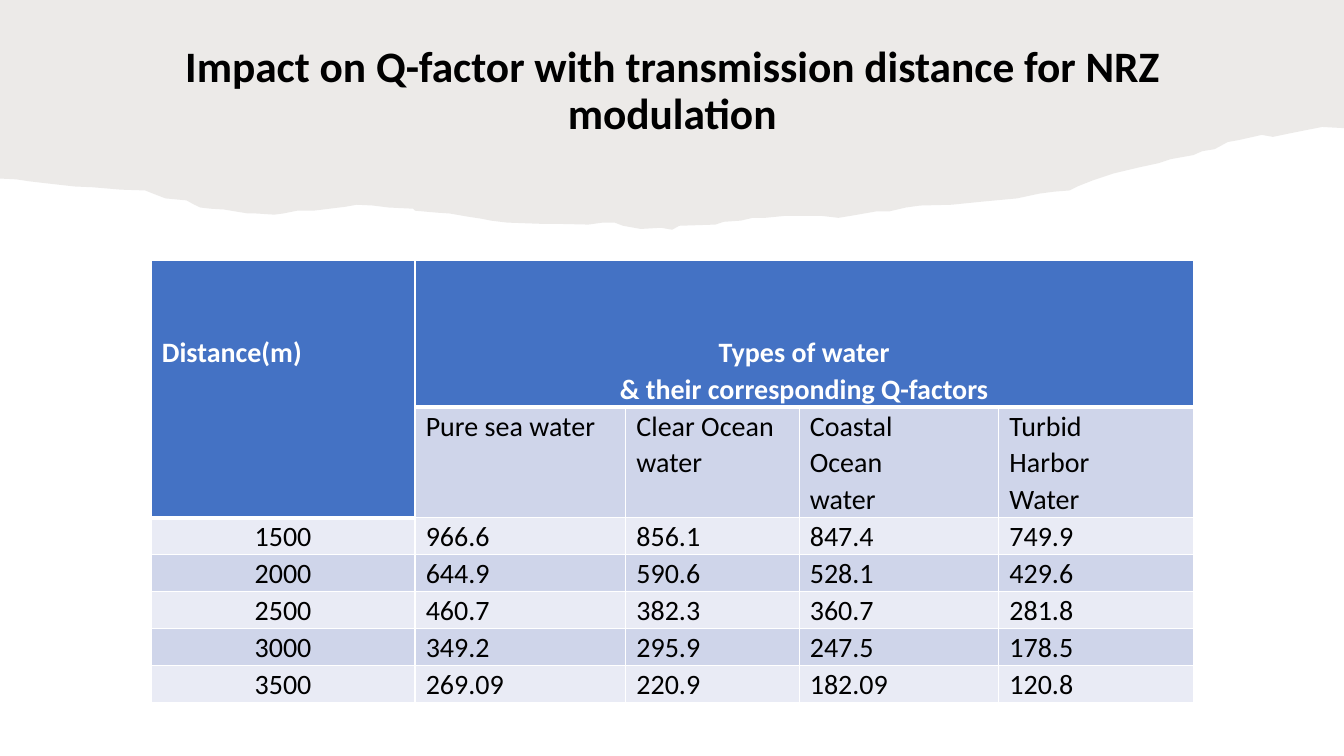
import lxml.etree
import pptx
import pptx.dml.color
import pptx.enum.text
import pptx.oxml
import pptx.oxml.ns
import pptx.util
from dataclasses import dataclass

Cm = pptx.util.Cm
Pt = pptx.util.Pt
ALIGN = pptx.enum.text.PP_ALIGN
ANCHOR = pptx.enum.text.MSO_ANCHOR


@dataclass
class Theme:
    font: str = "Calibri"
    title_size: int = 31
    table_size: int = 20
    text: str = "000000"
    header_text: str = "FFFFFF"
    header_fill: str = "4472C4"
    bands: tuple = ("CFD5EA", "E9EBF5")
    border: str = "FFFFFF"
    torn_paper: str = "82766A"
    torn_paper_alpha: int = 15


# Torn lower edge of the banner, right to left, in centimetres
TORN_EDGE = [
    (33.87, 3.23), (33.32, 3.2), (32.56, 3.35), (32.08, 3.45), (31.8, 3.4),
    (31.22, 3.53), (30.94, 3.58), (30.61, 3.76), (30.3, 3.81), (30.07, 3.91),
    (29.51, 4.01), (29.21, 4.11), (28.7, 4.22), (28.07, 4.37), (27.53, 4.55),
    (27.15, 4.7), (26.95, 4.8), (26.57, 4.83), (26.19, 4.88), (25.63, 5),
    (24.77, 5.08), (23.98, 5.16), (23.19, 5.18), (22.83, 5.23), (22.4, 5.33),
    (22.07, 5.33), (21.44, 5.44), (21.13, 5.49), (20.7, 5.44), (19.79, 5.44),
    (19.28, 5.49), (18.97, 5.49), (18.67, 5.56), (18.24, 5.59), (18.03, 5.66),
    (17.12, 5.69), (16.94, 5.79), (16.66, 5.74), (16.15, 5.77), (15.7, 5.69),
    (15.49, 5.61), (15.19, 5.61), (14.83, 5.66), (13.97, 5.64), (13.61, 5.64),
    (12.78, 5.61), (12.37, 5.56), (12.12, 5.51), (11.79, 5.46), (11.33, 5.38),
    (11.02, 5.36), (10.46, 5.31), (10.41, 5.26), (9.8, 5.23), (9.4, 5.18),
    (8.99, 5.16), (8.71, 5.21), (7.9, 5.31), (7.49, 5.31), (7.14, 5.38),
    (6.91, 5.41), (6.45, 5.38), (6.25, 5.38), (5.82, 5.31), (5.64, 5.28),
    (5.31, 5.26), (5.05, 5.23), (4.9, 5.16), (4.7, 5.05), (4.17, 5),
    (3.86, 4.88), (3.66, 4.8), (3.05, 4.78), (2.34, 4.72), (1.88, 4.7),
    (1.17, 4.62), (0.74, 4.57), (0.41, 4.52), (0, 4.5),
]

WATER_TYPES = ["Pure sea water", "Clear Ocean water",
               "Coastal\nOcean\nwater", "Turbid\nHarbor\nWater"]
Q_FACTORS = [
    ["1500", "966.6", "856.1", "847.4", "749.9"],
    ["2000", "644.9", "590.6", "528.1", "429.6"],
    ["2500", "460.7", "382.3", "360.7", "281.8"],
    ["3000", "349.2", "295.9", "247.5", "178.5"],
    ["3500", "269.09", "220.9", "182.09", "120.8"],
]
COLUMN_WIDTHS = [6.65, 5.31, 4.37, 5.03, 4.9]
ROW_HEIGHTS = [3.61, 2.72] + [0.93] * len(Q_FACTORS)


class SlideBuilder:
    def __init__(self, prs, theme):
        self.theme = theme
        self.s = prs.slides.add_slide(prs.slide_layouts[5])

    def color(self, value):
        return pptx.dml.color.RGBColor.from_string(value)

    def set_text(self, tf, text, size, color, bold, align, spacing):
        """Fill a text frame, one paragraph per line of text."""
        tf.text = text
        for p in tf.paragraphs:
            p.alignment = align
            p.line_spacing = spacing
            p.font.name = self.theme.font
            p.font.size = Pt(size)
            p.font.bold = bold
            p.font.color.rgb = self.color(color)

    def banner(self, edge, width):
        points = [(width, 0)] + edge
        builder = self.s.shapes.build_freeform(0, 0, scale=Cm(0.01))
        builder.add_line_segments([(x * 100, y * 100) for x, y in points])
        sp = builder.convert_to_shape()
        sp.shadow.inherit = False
        sp.line.fill.background()
        sp.fill.solid()
        sp.fill.fore_color.rgb = self.color(self.theme.torn_paper)
        rgb = sp._element.spPr.find(".//" + pptx.oxml.ns.qn("a:srgbClr"))
        alpha = lxml.etree.SubElement(rgb, pptx.oxml.ns.qn("a:alpha"))
        alpha.set("val", str(self.theme.torn_paper_alpha * 1000))
        self.s.shapes._spTree.insert(2, sp._element)  # behind the title

    def title(self, text, left, top, width, height):
        sp = self.s.shapes.title
        sp.left, sp.top, sp.width, sp.height = map(Cm, (left, top, width, height))
        tf = sp.text_frame
        tf.word_wrap = True
        tf.auto_size = pptx.enum.text.MSO_AUTO_SIZE.NONE
        tf.vertical_anchor = ANCHOR.BOTTOM
        self.set_text(tf, text, self.theme.title_size, self.theme.text, True,
                      ALIGN.CENTER, 0.9)
        tf.paragraphs[0].space_after = Pt(6)

    def borders(self, cell, bottom):
        tcPr = cell._tc.get_or_add_tcPr()
        for i, (side, width) in enumerate([("L", 1), ("R", 1), ("B", bottom)]):
            tcPr.insert(i, pptx.oxml.parse_xml(
                f'<a:ln{side} {pptx.oxml.ns.nsdecls("a")} w="{Pt(width)}"><a:solidFill>'
                f'<a:srgbClr val="{self.theme.border}"/></a:solidFill></a:ln{side}>'))

    def cell(self, cell, text, fill, header=False, align=ALIGN.LEFT):
        cell.margin_left = cell.margin_right = Cm(0.27)
        cell.margin_top = Cm(1.86 if header else 0)
        cell.margin_bottom = 0
        cell.vertical_anchor = ANCHOR.TOP
        cell.fill.solid()
        cell.fill.fore_color.rgb = self.color(fill)
        color = self.theme.header_text if header else self.theme.text
        self.set_text(cell.text_frame, text, self.theme.table_size, color, header,
                      align, 1.07)
        self.borders(cell, 3 if header else 1)

    def q_factor_table(self, left, top):
        rows, cols = len(ROW_HEIGHTS), len(COLUMN_WIDTHS)
        table = self.s.shapes.add_table(
            rows, cols, Cm(left), Cm(top),
            Cm(sum(COLUMN_WIDTHS)), Cm(sum(ROW_HEIGHTS))).table
        for column, width in zip(table.columns, COLUMN_WIDTHS):
            column.width = Cm(width)
        for row, height in zip(table.rows, ROW_HEIGHTS):
            row.height = Cm(height)

        table.cell(0, 0).merge(table.cell(1, 0))
        table.cell(0, 1).merge(table.cell(0, cols - 1))
        blue = self.theme.header_fill
        self.cell(table.cell(0, 0), "Distance(m)", blue, header=True)
        self.cell(table.cell(0, 1),
                  "Types of water\n& their corresponding Q-factors", blue,
                  header=True, align=ALIGN.CENTER)
        for spanned in [table.cell(1, 0)] + [table.cell(0, c) for c in range(2, cols)]:
            self.borders(spanned, 3)

        for c, name in enumerate(WATER_TYPES, 1):
            self.cell(table.cell(1, c), name, self.theme.bands[0])
        for r, values in enumerate(Q_FACTORS, 2):
            for c, value in enumerate(values):
                self.cell(table.cell(r, c), value, self.theme.bands[(r + 1) % 2],
                          align=ALIGN.LEFT if c else ALIGN.CENTER)


def main():
    prs = pptx.Presentation()
    prs.slide_width, prs.slide_height = Cm(33.87), Cm(19.05)
    slide = SlideBuilder(prs, Theme())
    slide.banner(TORN_EDGE, 33.87)
    slide.title("Impact on Q-factor with transmission distance for NRZ modulation",
                2.31, 1.37, 29.26, 2.26)
    slide.q_factor_table(3.81, 6.55)
    prs.save("out.pptx")


if __name__ == "__main__":
    main()
